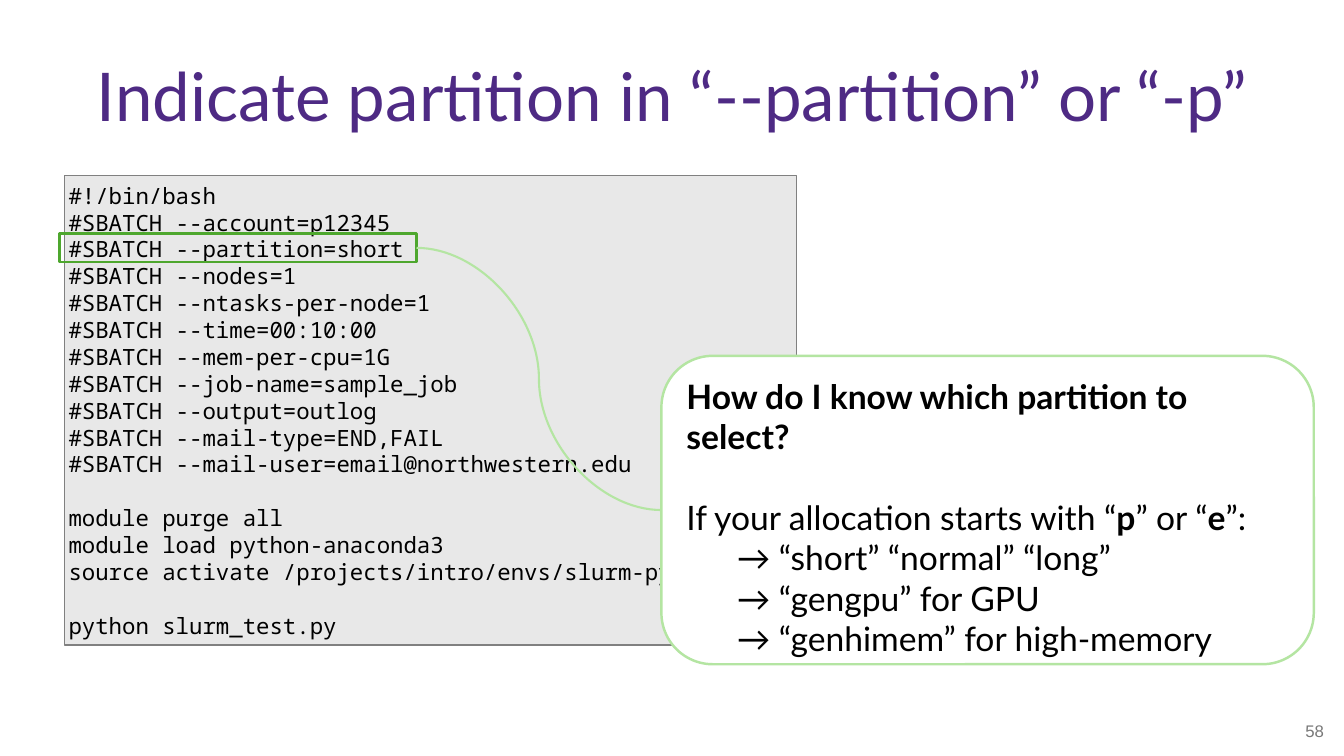
from dataclasses import dataclass

from lxml import etree
from pptx import Presentation
from pptx.dml.color import RGBColor
from pptx.enum.shapes import MSO_CONNECTOR, MSO_SHAPE
from pptx.enum.text import MSO_ANCHOR, PP_ALIGN
from pptx.oxml.ns import qn
from pptx.util import Inches, Pt

RECT, ROUND = MSO_SHAPE.RECTANGLE, MSO_SHAPE.ROUNDED_RECTANGLE
CURVE = MSO_CONNECTOR.CURVE
TOP, MIDDLE = MSO_ANCHOR.TOP, MSO_ANCHOR.MIDDLE
LEFT, CENTER, RIGHT = PP_ALIGN.LEFT, PP_ALIGN.CENTER, PP_ALIGN.RIGHT
LEFT_SIDE, RIGHT_SIDE = 1, 3
WIDTH, HEIGHT = Inches(13.33), Inches(7.5)


@dataclass(frozen=True)
class Style:
    font: str
    size: float
    color: str


@dataclass(frozen=True)
class Theme:
    title = Style("Lato", 48, "4E2A84")
    code = Style("Noto Sans Mono", 16, "000000")
    note = Style("Lato", 24, "000000")
    number = Style("Arial", 12, "797979")
    panel = "E8E8E8"
    border = "808080"
    mark = "4EA72E"
    soft = "B4E5A2"
    paper = "FFFFFF"
    leading = 1.2


THEME = Theme()

# Each block of code is set apart by one line.
CODE = [
    [
        "#!/bin/bash",
        "#SBATCH --account=p12345",
        "#SBATCH --partition=short",
        "#SBATCH --nodes=1",
        "#SBATCH --ntasks-per-node=1",
        "#SBATCH --time=00:10:00",
        "#SBATCH --mem-per-cpu=1G",
        "#SBATCH --job-name=sample_job",
        "#SBATCH --output=outlog",
        "#SBATCH --mail-type=END,FAIL",
        "#SBATCH --mail-user=email@northwestern.edu",
    ],
    [
        "module purge all",
        "module load python-anaconda3",
        "source activate /projects/intro/envs/slurm-py37-test",
    ],
    ["python slurm_test.py"],
]

# Runs at odd places in a line are bold.
NOTE = [
    [["", "How do I know which partition to select?"]],
    [
        ["If your allocation starts with “", "p", "” or “", "e", "”:"],
        ["\t→ “short” “normal” “long”"],
        ["\t→ “gengpu” for GPU"],
        ["\t→ “genhimem” for high-memory"],
    ],
]


def area(x, y, w, h):
    """Turn percent of the slide's width and height into lengths."""
    return [round(share * side / 100)
            for share, side in zip((x, y, w, h), (WIDTH, HEIGHT) * 2)]


def add_line(frame, runs, style, align=LEFT, gap=0, spacing=None):
    """Fill the first paragraph, or add one; bold every second run."""
    first = frame.paragraphs[0]
    para = frame.add_paragraph() if first.runs else first
    para.alignment = align
    if gap:
        para.space_before = Pt(gap)
    if spacing:
        para.line_spacing = spacing
    for place, text in enumerate(runs):
        if not text:
            continue
        run = para.add_run()
        run.text = text
        font = run.font
        font.name, font.size = style.font, Pt(style.size)
        font.color.rgb = RGBColor.from_string(style.color)
        font.bold = place % 2 == 1


def add_blocks(frame, blocks, style, spacing=None):
    """Write blocks of lines with a gap of one line between them."""
    for order, block in enumerate(blocks):
        for row, runs in enumerate(block):
            gap = style.size * THEME.leading if order and not row else 0
            add_line(frame, runs, style, gap=gap, spacing=spacing)


def add_label(slide, place, text, style, align, spacing=None):
    frame = slide.shapes.add_textbox(*area(*place)).text_frame
    frame.word_wrap = True
    frame.vertical_anchor = MIDDLE
    add_line(frame, [text], style, align, spacing=spacing)


def add_box(slide, kind, place, fill, line, weight, anchor=TOP):
    box = slide.shapes.add_shape(kind, *area(*place))
    box.shadow.inherit = False
    if fill:
        box.fill.solid()
        box.fill.fore_color.rgb = RGBColor.from_string(fill)
    else:
        box.fill.background()
    box.line.color.rgb = RGBColor.from_string(line)
    box.line.width = Pt(weight)
    box.text_frame.word_wrap = True
    box.text_frame.vertical_anchor = anchor
    return box


def add_code(slide, place):
    box = add_box(slide, RECT, place, THEME.panel, THEME.border, 1, MIDDLE)
    frame = box.text_frame
    frame.margin_left = frame.margin_right = Inches(0.04)
    frame.margin_top = frame.margin_bottom = Inches(0.04)
    blocks = [[[text] for text in block] for block in CODE]
    add_blocks(frame, blocks, THEME.code,
               Pt(THEME.code.size * THEME.leading))


def add_curve(slide, start, end):
    curve = slide.shapes.add_connector(CURVE, 0, 0, 0, 0)
    curve.begin_connect(start, RIGHT_SIDE)
    curve.end_connect(end, LEFT_SIDE)
    curve.line.color.rgb = RGBColor.from_string(THEME.soft)
    curve.line.width = Pt(1.5)
    etree.SubElement(curve._element.spPr, qn("a:effectLst"))


def main():
    deck = Presentation()
    deck.slide_width, deck.slide_height = WIDTH, HEIGHT
    slide = deck.slides.add_slide(deck.slide_layouts[6])

    add_label(slide, (75.92, 94, 23.33, 5.33), "58", THEME.number, RIGHT)
    add_label(slide, (1.65, 2, 96.7, 22.27),
              "Indicate partition in “--partition” or “-p”",
              THEME.title, CENTER, 0.9)
    add_code(slide, (4.8, 23.2, 54.46, 62.13))
    mark = add_box(slide, RECT, (4.43, 30.93, 26.56, 3.73),
                   None, THEME.mark, 2)
    note = add_box(slide, ROUND, (49.21, 47.07, 48.54, 40.8),
                   THEME.paper, THEME.soft, 1.75)
    add_blocks(note.text_frame, NOTE, THEME.note)
    add_curve(slide, mark, note)

    deck.save("out.pptx")


if __name__ == "__main__":
    main()
